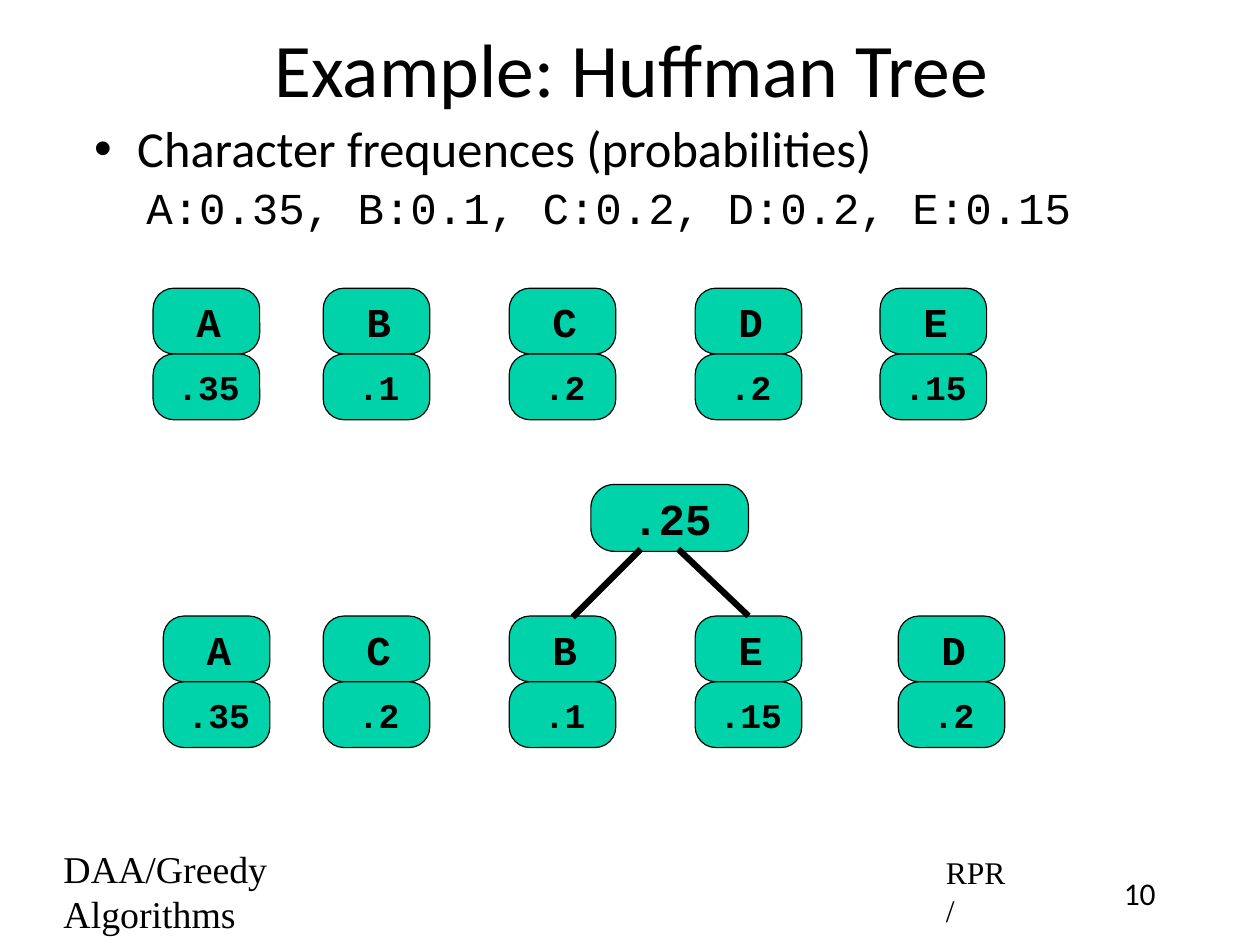
from dataclasses import dataclass

from lxml import etree
from pptx import Presentation
from pptx import util as u
from pptx.dml.color import RGBColor
from pptx.enum import shapes, text
from pptx.oxml import ns


@dataclass(frozen=True)
class Theme:
    ink: RGBColor = RGBColor(0, 0, 0)
    node: RGBColor = RGBColor(0, 0xD2, 0xA9)
    sans: str = "Calibri"
    mono: str = "Courier New"
    serif: str = "Times New Roman"
    title: int = 48
    list: int = 32
    code: int = 28
    root: int = 28
    name: int = 26
    freq: int = 22
    foot: int = 24
    mark: int = 20
    edge: float = 0.75
    branch: float = 4


T = Theme()
PAD = 0.06
NODE_W, NODE_H = 0.94, 0.58
MID, TOP = text.MSO_ANCHOR.MIDDLE, text.MSO_ANCHOR.TOP
LEFT, CENTER = text.PP_ALIGN.LEFT, text.PP_ALIGN.CENTER


def apply(item, form):
    for key, val in form.items():
        setattr(item, key, val)


def place(shape, box):
    apply(shape, dict(zip(("left", "top", "width", "height"), map(u.Inches, box))))


def frame(shape, anchor=MID, right=PAD):
    form = {"margin_" + side: u.Inches(PAD) for side in ("left", "top", "bottom")}
    form.update(margin_right=u.Inches(right), word_wrap=True,
                auto_size=text.MSO_AUTO_SIZE.NONE, vertical_anchor=anchor)
    apply(shape.text_frame, form)
    return shape.text_frame


def write(para, words, face, size, align=LEFT, left=0.04, first=0, bold=False):
    props = para._p.get_or_add_pPr()
    props.set("marL", str(u.Inches(left)))
    props.set("indent", str(u.Inches(first)))
    para.alignment = align
    run = para.add_run()
    run.text = words
    apply(run.font, {"name": face, "size": u.Pt(size), "bold": bold})
    run.font.color.rgb = T.ink


def bullet(para, char=None):
    props = para._p.get_or_add_pPr()
    mark = etree.SubElement(props, ns.qn("a:buChar" if char else "a:buNone"))
    if char:
        mark.set("char", char)


def head(slide, box):
    shape = slide.shapes.title
    place(shape, box)
    write(frame(shape).paragraphs[0], "Example: Huffman Tree", T.sans, T.title, CENTER)


def body(slide, box):
    shape = slide.placeholders[1]
    place(shape, box)
    area = frame(shape, TOP)
    item, codes = area.paragraphs[0], area.add_paragraph()
    bullet(item, "•")
    bullet(codes)
    apply(item, {"line_spacing": 0.9, "space_before": u.Pt(0)})
    apply(codes, {"line_spacing": 0.9, "space_before": u.Pt(5), "level": 1})
    write(item, "Character frequences (probabilities)", T.sans, T.list,
          left=0.42, first=-0.38)
    write(codes, "A:0.35, B:0.1, C:0.2, D:0.2, E:0.15", T.mono, T.code,
          left=0, first=0.5)


def label(slide, box, words, face, size, align=LEFT, anchor=MID, right=PAD):
    shape = slide.shapes.add_textbox(*map(u.Inches, box))
    left = 0 if align == CENTER else 0.04
    write(frame(shape, anchor, right).paragraphs[0], words, face, size, align, left)


def node(home, box, words, size, bend=0.316):
    shape = home.shapes.add_shape(shapes.MSO_SHAPE.ROUNDED_RECTANGLE,
                                  *map(u.Inches, box))
    shape.adjustments[0] = bend
    shape.shadow.inherit = False
    shape.fill.solid()
    shape.fill.fore_color.rgb = T.node
    shape.line.color.rgb = T.ink
    shape.line.width = u.Pt(T.edge)
    write(frame(shape).paragraphs[0], words, T.mono, size, CENTER, bold=True)
    return shape


def leaf(slide, x, y, name, freq):
    group = slide.shapes.add_group_shape()
    upper = node(group, (x, y, NODE_W, NODE_H), name, T.name)
    node(group, (x, y + NODE_H, NODE_W, NODE_H), freq, T.freq)
    return upper


def row(slide, y, slots, leaves):
    return {name: leaf(slide, x, y, name, freq)
            for x, (name, freq) in zip(slots, leaves)}


def branch(slide, start, end):
    line = slide.shapes.add_connector(shapes.MSO_CONNECTOR.STRAIGHT,
                                      *map(u.Inches, start + end))
    line.line.color.rgb = T.ink
    line.line.width = u.Pt(T.branch)
    etree.SubElement(line._element.spPr, ns.qn("a:effectLst"))
    return line


def tree(slide, box, child):
    x, y, w, h = box
    node(slide, box, ".25", T.root, 0.351)
    foot = y + h - 0.02
    branch(slide, (x - 0.16, foot + 0.6), (x + 0.44, foot))
    line = branch(slide, (x + w, foot + 0.6), (x + 0.77, foot))
    line.begin_connect(child, 0)


def main():
    deck = Presentation()
    deck.slide_width, deck.slide_height = u.Inches(11.11), u.Inches(8.33)
    slide = deck.slides.add_slide(deck.slide_layouts[1])

    # Title and frequency list
    head(slide, (0.83, 0.07, 9.44, 1.04))
    body(slide, (0.73, 1.03, 9.9, 1.04))

    # Footer
    label(slide, (9.72, 7.64, 0.66, 0.42), "10", T.sans, T.mark, CENTER, TOP)
    label(slide, (0.46, 7.62, 3.55, 0.47), "DAA/Greedy Algorithms",
          T.serif, T.foot, right=0.5)
    label(slide, (8.24, 7.64, 0.77, 0.42), "RPR/", T.serif, T.mark, right=0.12)

    # Leaves before and after the first merge
    freqs = {"A": ".35", "B": ".1", "C": ".2", "D": ".2", "E": ".15"}
    inner = [2.85 + 1.64 * i for i in range(3)]
    row(slide, 2.54, [1.35, *inner, 7.76], freqs.items())
    merged = row(slide, 5.43, [1.44, *inner, 7.92],
                 [(name, freqs[name]) for name in "ACBED"])

    # Merged node above B and E
    tree(slide, (5.21, 4.27, 1.39, 0.59), merged["E"])
    deck.save("out.pptx")


if __name__ == "__main__":
    main()
